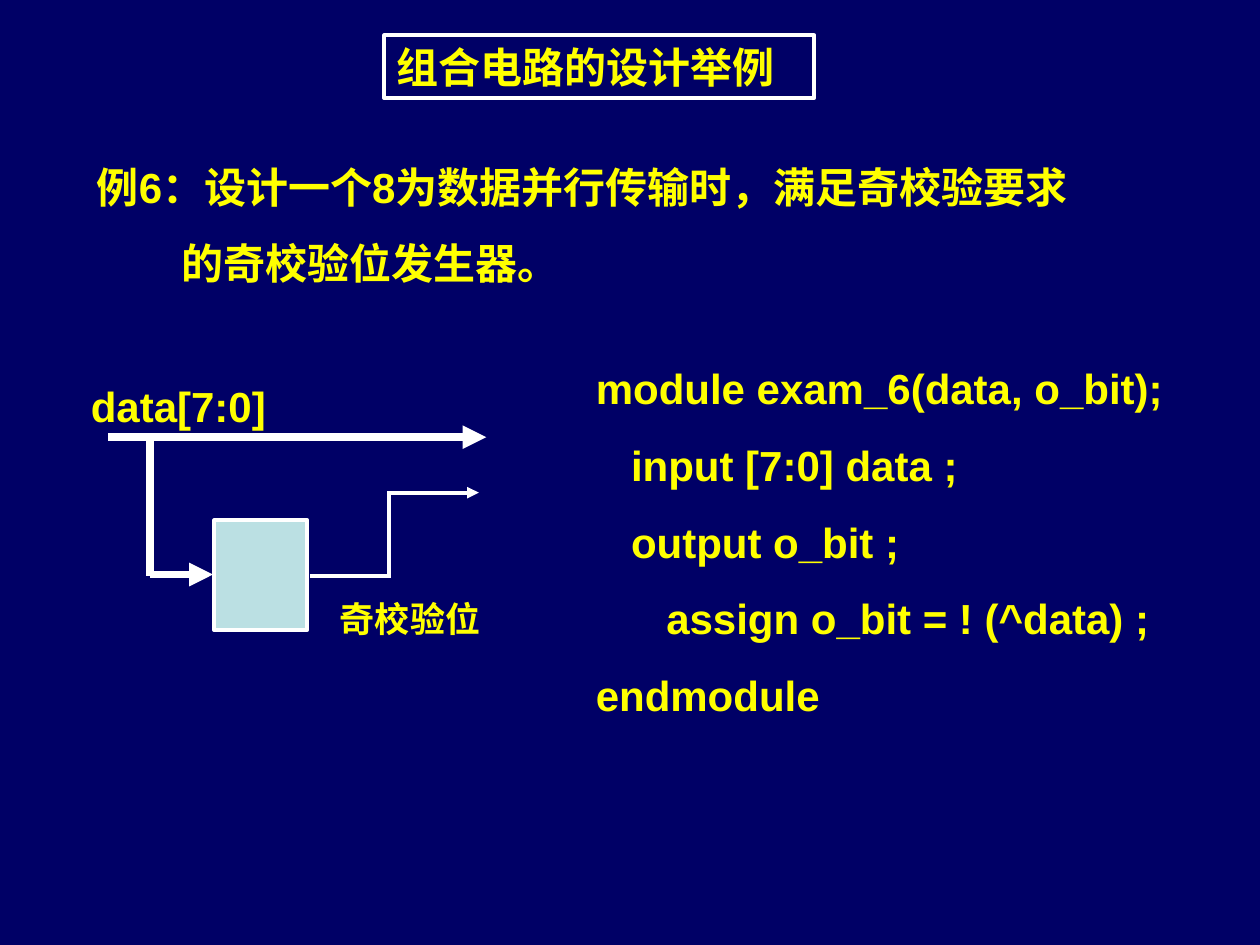
"""Build the slide on the odd parity bit generator."""
from dataclasses import dataclass

from lxml.etree import SubElement
from pptx import Presentation
from pptx.dml.color import RGBColor
from pptx.enum.shapes import MSO_CONNECTOR as Connector, MSO_SHAPE as Shape
from pptx.enum.text import MSO_ANCHOR as Anchor, PP_ALIGN as Align
from pptx.oxml.ns import qn
from pptx.util import Inches, Pt


@dataclass(frozen=True)
class Theme:
    background: RGBColor = RGBColor(0x00, 0x00, 0x66)
    text: RGBColor = RGBColor(0xFF, 0xFF, 0x00)
    line: RGBColor = RGBColor(0xFF, 0xFF, 0xFF)
    block: RGBColor = RGBColor(0xBB, 0xE0, 0xE3)
    font: str = "Arial"
    body: float = 24
    label: float = 20
    space_ratio: float = 0.625
    bus: float = 4.5
    wire: float = 2.25


@dataclass(frozen=True)
class Box:
    left: float
    top: float
    width: float
    height: float

    def lengths(self) -> tuple:
        return tuple(map(Inches, (self.left, self.top, self.width, self.height)))


@dataclass(frozen=True)
class TextLine:
    text: str
    indent: float = 0


@dataclass(frozen=True)
class Signal:
    start: tuple[float, float]
    end: tuple[float, float]
    weight: float
    arrow: bool = False


THEME = Theme()
CODE_INDENT = 0.28

TITLE = [TextLine("组合电路的设计举例")]
TASK = [
    TextLine("例6：设计一个8为数据并行传输时，满足奇校验要求"),
    TextLine("的奇校验位发生器。", 0.67),
]
CODE = [
    TextLine("module exam_6(data, o_bit);"),
    TextLine("input [7:0] data ;", CODE_INDENT),
    TextLine("output o_bit ;", CODE_INDENT),
    TextLine("assign o_bit = ! (^data) ;", 2 * CODE_INDENT),
    TextLine("endmodule"),
]
SIGNALS = [
    Signal((0.86, 3.47), (3.86, 3.47), THEME.bus, arrow=True),
    Signal((1.19, 3.48), (1.19, 4.57), THEME.bus),
    Signal((1.19, 4.56), (1.69, 4.56), THEME.bus, arrow=True),
    Signal((2.46, 4.57), (3.1, 4.57), THEME.wire),
    Signal((3.09, 4.57), (3.09, 3.9), THEME.wire),
    Signal((3.1, 3.91), (3.8, 3.91), THEME.wire, arrow=True),
]


def write_lines(frame, lines: list[TextLine], size: float = THEME.body,
                align: Align = Align.LEFT, wrap: bool = True) -> None:
    """Fill a text frame with evenly spaced bold lines."""
    frame.word_wrap = wrap
    frame.vertical_anchor = Anchor.TOP
    frame.text = "\n".join(line.text for line in lines)
    for paragraph, line in zip(frame.paragraphs, lines):
        paragraph.alignment = align
        paragraph.space_before = Pt(size * THEME.space_ratio)
        if line.indent:
            properties = paragraph._p.get_or_add_pPr()
            properties.set("marL", str(Inches(line.indent)))
            properties.set("indent", "0")
        for run in paragraph.runs:
            run.font.name = THEME.font
            run.font.size = Pt(size)
            run.font.bold = True
            run.font.color.rgb = THEME.text


def add_text(shapes, box: Box, lines: list[TextLine], **style) -> None:
    """Add a text box holding the given lines."""
    write_lines(shapes.add_textbox(*box.lengths()).text_frame, lines, **style)


def add_frame(shapes, box: Box, fill: RGBColor | None = None):
    """Add an outlined rectangle and return it."""
    frame = shapes.add_shape(Shape.RECTANGLE, *box.lengths())
    frame.shadow.inherit = False
    if fill is None:
        frame.fill.background()
    else:
        frame.fill.solid()
        frame.fill.fore_color.rgb = fill
    frame.line.color.rgb = THEME.line
    frame.line.width = Pt(THEME.wire)
    return frame


def add_signal(shapes, signal: Signal) -> None:
    """Add a straight signal line, with an arrowhead if wanted."""
    wire = shapes.add_connector(
        Connector.STRAIGHT, *map(Inches, signal.start + signal.end))
    wire.line.color.rgb = THEME.line
    wire.line.width = Pt(signal.weight)
    if signal.arrow:
        SubElement(wire.line._get_or_add_ln(), qn("a:tailEnd"), type="triangle")
    SubElement(wire._element.spPr, qn("a:effectLst"))


def add_circuit(shapes) -> None:
    """Add the grouped diagram of the parity generator."""
    circuit = shapes.add_group_shape().shapes
    add_frame(circuit, Box(1.7, 4.13, 0.74, 0.87), THEME.block)
    for signal in SIGNALS:
        add_signal(circuit, signal)
    add_text(circuit, Box(0.57, 2.97, 1.69, 0.5), [TextLine("data[7:0]")],
             align=Align.CENTER, wrap=False)
    add_text(circuit, Box(2.57, 4.69, 1.37, 0.44), [TextLine("奇校验位")],
             size=THEME.label, align=Align.CENTER, wrap=False)


def main() -> None:
    """Build and save the presentation."""
    deck = Presentation()
    deck.slide_width, deck.slide_height = Inches(10), Inches(7.5)
    slide = deck.slides.add_slide(deck.slide_layouts[6])
    slide.background.fill.solid()
    slide.background.fill.fore_color.rgb = THEME.background

    title = add_frame(slide.shapes, Box(3.05, 0.28, 3.41, 0.5))
    write_lines(title.text_frame, TITLE)
    add_text(slide.shapes, Box(0.67, 1.23, 8.04, 1.51), TASK)
    add_circuit(slide.shapes)
    add_text(slide.shapes, Box(4.63, 2.83, 4.91, 2.94), CODE)
    deck.save("out.pptx")


if __name__ == "__main__":
    main()
